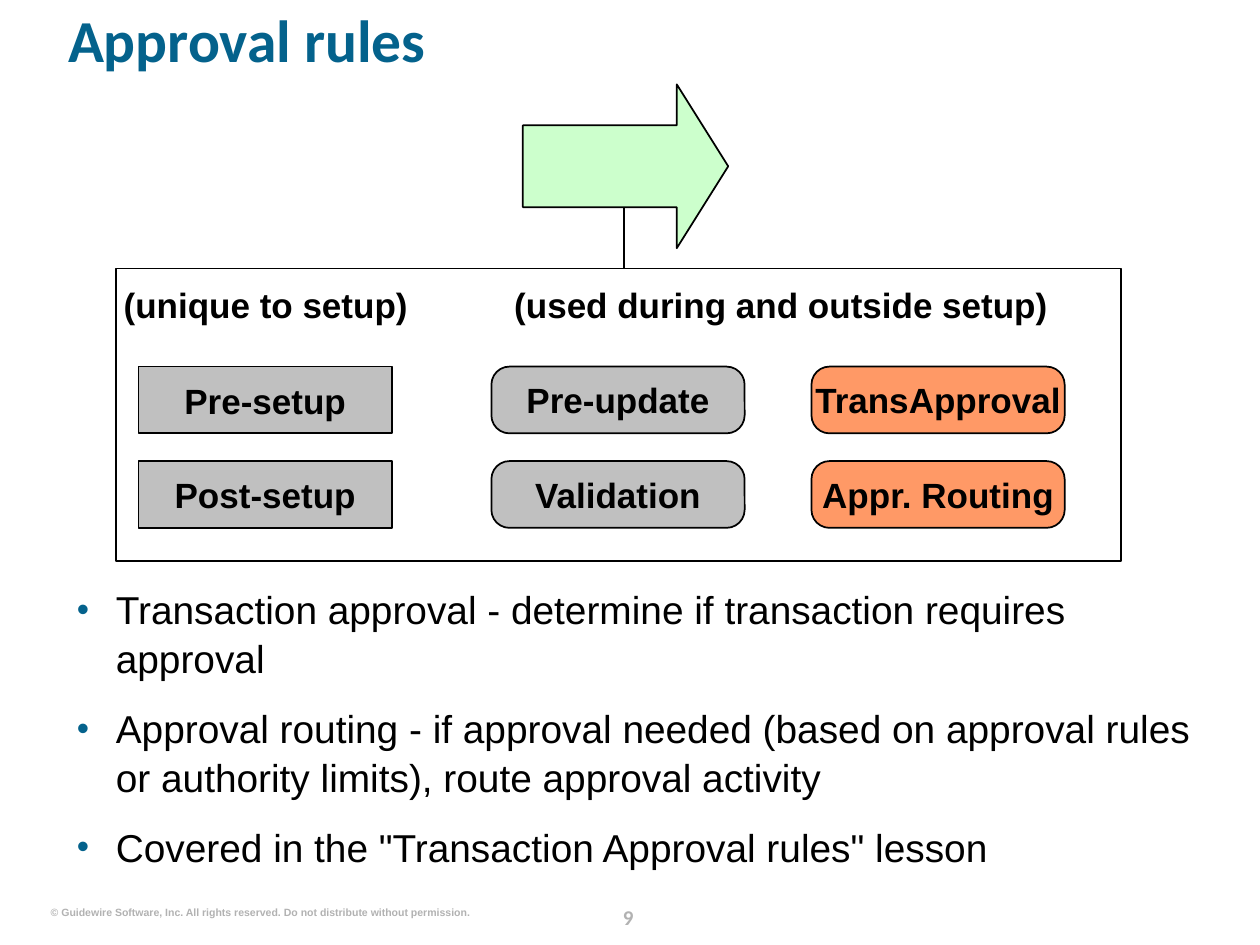
from dataclasses import dataclass

from lxml.etree import SubElement
from pptx import Presentation
from pptx.dml.color import RGBColor
from pptx.enum.shapes import MSO_CONNECTOR, MSO_SHAPE
from pptx.enum.text import MSO_ANCHOR, PP_ALIGN
from pptx.oxml.ns import qn
from pptx.util import Inches, Pt


@dataclass(frozen=True)
class Theme:
    title: str = "04628C"
    ink: str = "000000"
    muted: str = "B2B2B2"
    gray: str = "C0C0C0"
    orange: str = "FF9966"
    green: str = "CCFFCC"
    title_size: float = 34
    body_size: float = 22.2
    label_size: float = 20
    number_size: float = 12
    footer_size: float = 6


theme = Theme()
prs = Presentation()
prs.slide_width, prs.slide_height = Inches(10), Inches(7.5)
s = prs.slides.add_slide(prs.slide_layouts[6])


def set_text(sp, lines, size, color, bold=True, align=PP_ALIGN.CENTER,
             font="Arial", wrap=True, anchor=MSO_ANCHOR.TOP):
    tf = sp.text_frame
    tf.text = "\n".join(lines)
    tf.word_wrap = wrap
    tf.vertical_anchor = anchor
    tf.margin_left = tf.margin_right = tf.margin_top = tf.margin_bottom = 0
    for p in tf.paragraphs:
        p.alignment = align
        for r in p.runs:
            r.font.name, r.font.size, r.font.bold = font, Pt(size), bold
            r.font.color.rgb = RGBColor.from_string(color)
    return tf.paragraphs


def add_box(kind, x, y, w, h, fill=None):
    sp = s.shapes.add_shape(kind, Inches(x), Inches(y), Inches(w), Inches(h))
    sp.shadow.inherit = False
    if fill:
        sp.fill.solid()
        sp.fill.fore_color.rgb = RGBColor.from_string(fill)
    else:
        sp.fill.background()
    sp.line.color.rgb = RGBColor.from_string(theme.ink)
    sp.line.width = Pt(1)
    return sp


# Footer
sp = s.shapes.add_textbox(Inches(0.4), Inches(7.19), Inches(3.33), Inches(0.1))
set_text(sp, ["© Guidewire Software, Inc. All rights reserved. "
              "Do not distribute without permission."],
         theme.footer_size, theme.muted, align=PP_ALIGN.RIGHT, wrap=False)
sp = s.shapes.add_textbox(Inches(4.73), Inches(7.13), Inches(0.51), Inches(0.25))
p = set_text(sp, ["9"], theme.number_size, theme.muted, font="Calibri")[0]
p.line_spacing = Pt(18)

# Title
sp = s.shapes.add_textbox(Inches(0.54), Inches(0.13), Inches(9.1), Inches(0.81))
p = set_text(sp, ["Approval rules"], theme.title_size, theme.title,
             align=PP_ALIGN.LEFT, font="Calibri")[0]
p.line_spacing = 0.8

# Panel, stem and arrow
add_box(MSO_SHAPE.RECTANGLE, 0.92, 2.13, 7.98, 2.32)
stem = s.shapes.add_connector(MSO_CONNECTOR.STRAIGHT, Inches(4.95), Inches(2.13),
                              Inches(4.95), Inches(1.64))
stem.line.color.rgb = RGBColor.from_string(theme.ink)
stem.line.width = Pt(1)
SubElement(stem._element.spPr, qn("a:effectLst"))
arrow = add_box(MSO_SHAPE.RIGHT_ARROW, 4.15, 0.67, 1.63, 1.3, theme.green)
arrow.adjustments[1] = 0.314

# Group headings
for text, x, w in [("(unique to setup)", 0.91, 2.4),
                   ("(used during and outside setup)", 4, 4.4)]:
    sp = s.shapes.add_textbox(Inches(x), Inches(2.25), Inches(w), Inches(0.33))
    set_text(sp, [text], theme.label_size, theme.ink)

# Rule boxes, one column at a time
columns = [
    (1.1, MSO_SHAPE.RECTANGLE, theme.gray, ["Pre-setup", "Post-setup"]),
    (3.9, MSO_SHAPE.ROUNDED_RECTANGLE, theme.gray, ["Pre-update", "Validation"]),
    (6.44, MSO_SHAPE.ROUNDED_RECTANGLE, theme.orange,
     ["TransApproval", "Appr. Routing"]),
]
for x, kind, fill, names in columns:
    for row, name in enumerate(names):
        sp = add_box(kind, x, 2.91 + row * 0.75, 2.01, 0.53, fill)
        if kind == MSO_SHAPE.ROUNDED_RECTANGLE:
            sp.adjustments[0] = 0.27
        set_text(sp, [name], theme.label_size, theme.ink, wrap=False,
                 anchor=MSO_ANCHOR.MIDDLE)

# Bullets
bullets = [
    "Transaction approval - determine if transaction requires approval",
    "Approval routing - if approval needed (based on approval rules "
    "or authority limits), route approval activity",
    'Covered in the "Transaction Approval rules" lesson',
]
sp = s.shapes.add_textbox(Inches(0.61), Inches(4.63), Inches(9.1), Inches(1.89))
paragraphs = set_text(sp, bullets, theme.body_size, theme.ink, bold=False,
                      align=PP_ALIGN.LEFT)
for i, p in enumerate(paragraphs):
    p.line_spacing = 1.05
    if i:
        p.space_before = Pt(12)
    pPr = p._p.get_or_add_pPr()
    pPr.set("marL", str(Inches(0.31)))
    pPr.set("indent", str(-Inches(0.31)))
    color = SubElement(pPr, qn("a:buClr"))
    SubElement(color, qn("a:srgbClr"), val=theme.title)
    SubElement(pPr, qn("a:buSzPct"), val="90000")
    SubElement(pPr, qn("a:buFont"), typeface="Arial")
    SubElement(pPr, qn("a:buChar"), char="•")

prs.save("out.pptx")
